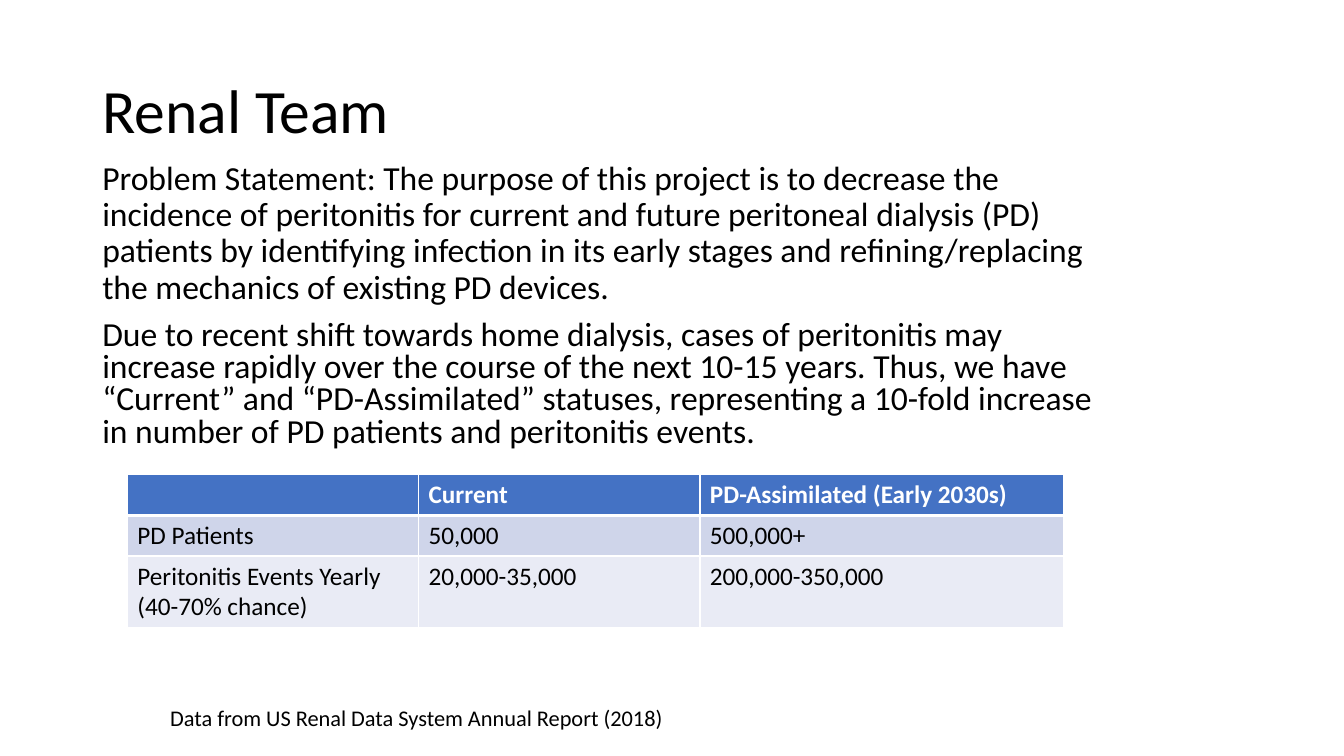
from dataclasses import dataclass

from lxml.etree import SubElement
from pptx import Presentation
from pptx.dml.color import RGBColor
from pptx.enum.text import MSO_ANCHOR
from pptx.oxml.ns import qn
from pptx.slide import Slide
from pptx.table import _Cell
from pptx.text.text import Font
from pptx.util import Pt

BLACK, WHITE = "000000", "FFFFFF"
ROW_FILLS = ["4472C4", "CFD5EA", "E9EBF5"]
COLUMN_WIDTHS = [208, 201, 260]
ROW_HEIGHTS = [29, 29, 51]
ROWS = [
    ["", "Current", "PD-Assimilated (Early 2030s)"],
    ["PD Patients", "50,000", "500,000+"],
    ["Peritonitis Events Yearly (40-70% chance)", "20,000-35,000", "200,000-350,000"],
]


@dataclass
class TextBlock:
    text: str
    left: float
    top: float
    width: float
    height: float
    size: float
    line_spacing: float = 0.9
    space_before: float = 10
    anchor: MSO_ANCHOR = MSO_ANCHOR.TOP


TEXT_BLOCKS = [
    TextBlock("Renal Team", 66, 28.8, 828, 104.4, 44, space_before=0, anchor=MSO_ANCHOR.MIDDLE),
    TextBlock(
        "Problem Statement: The purpose of this project is to decrease the incidence of "
        "peritonitis for current and future peritoneal dialysis (PD) patients by identifying "
        "infection in its early stages and refining/replacing the mechanics of existing PD devices.",
        66, 111.6, 737.3, 137.5, 24,
    ),
    TextBlock(
        "Due to recent shift towards home dialysis, cases of peritonitis may increase rapidly "
        "over the course of the next 10-15 years. Thus, we have “Current” and “PD-Assimilated” "
        "statuses, representing a 10-fold increase in number of PD patients and peritonitis events.",
        66, 225.4, 737.3, 104.4, 24, line_spacing=0.8,
    ),
    TextBlock("Data from US Renal Data System Annual Report (2018)", 114.5, 501.8, 383.8, 28.8, 16),
]


def color(value: str) -> RGBColor:
    return RGBColor.from_string(value)


def style_font(font: Font, size: float, value: str, bold: bool = False) -> None:
    font.name = "Calibri"
    font.size = Pt(size)
    font.bold = bold
    font.color.rgb = color(value)


def add_text(page: Slide, block: TextBlock) -> None:
    box = page.shapes.add_textbox(Pt(block.left), Pt(block.top), Pt(block.width), Pt(block.height))
    frame = box.text_frame
    frame.word_wrap = True
    frame.vertical_anchor = block.anchor
    para = frame.paragraphs[0]
    para.text = block.text
    para.line_spacing = block.line_spacing
    para.space_before = Pt(block.space_before)
    style_font(para.font, block.size, BLACK)


def add_borders(cell: _Cell, top: float, bottom: float) -> None:
    properties = cell._tc.get_or_add_tcPr()
    for side, width in {"L": 1, "R": 1, "T": top, "B": bottom}.items():
        line = SubElement(properties, qn(f"a:ln{side}"), w=str(Pt(width)))
        fill = SubElement(line, qn("a:solidFill"))
        SubElement(fill, qn("a:srgbClr"), val=WHITE)


def add_status_table(page: Slide) -> None:
    table = page.shapes.add_table(
        len(ROWS), len(COLUMN_WIDTHS), Pt(91), Pt(339.2),
        Pt(sum(COLUMN_WIDTHS)), Pt(sum(ROW_HEIGHTS)),
    ).table
    for column, width in zip(table.columns, COLUMN_WIDTHS):
        column.width = Pt(width)
    for index, (row, height, labels) in enumerate(zip(table.rows, ROW_HEIGHTS, ROWS)):
        row.height = Pt(height)
        header = index == 0
        for cell, label in zip(row.cells, labels):
            add_borders(cell, top=3 if index == 1 else 1, bottom=3 if header else 1)
            cell.fill.solid()
            cell.fill.fore_color.rgb = color(ROW_FILLS[index])
            para = cell.text_frame.paragraphs[0]
            para.text = label
            style_font(para.font, 18, WHITE if header else BLACK, bold=header)


deck = Presentation()
deck.slide_width, deck.slide_height = Pt(960), Pt(540)
page = deck.slides.add_slide(deck.slide_layouts[6])
for block in TEXT_BLOCKS:
    add_text(page, block)
add_status_table(page)
deck.save("out.pptx")
